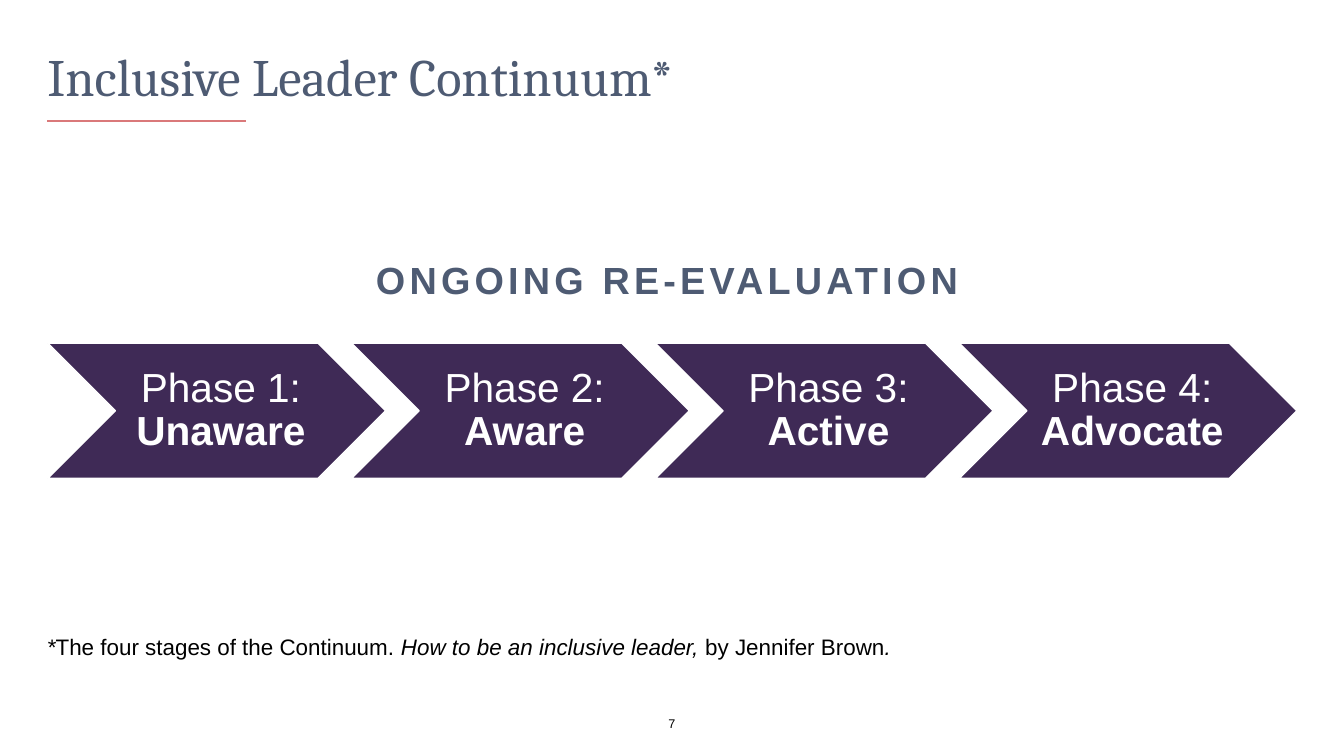
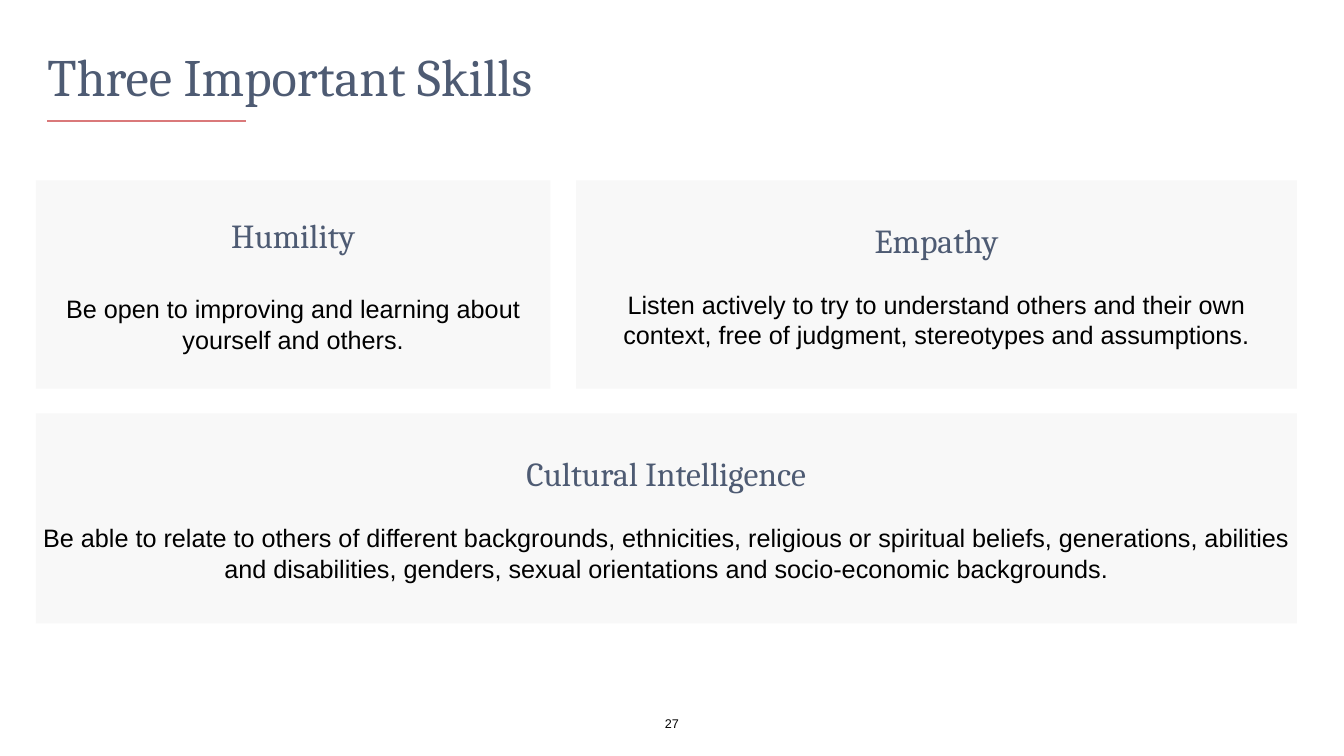
from lxml.etree import SubElement
from pptx import Presentation
from pptx.dml.color import RGBColor
from pptx.enum.shapes import MSO_CONNECTOR, MSO_SHAPE
from pptx.enum.text import MSO_ANCHOR, MSO_AUTO_SIZE, PP_ALIGN
from pptx.oxml.ns import qn
from pptx.util import Pt

COLORS = {
    "slate": "4E5B73",
    "coral": "DA797A",
    "purple": "3F2A56",
    "panel": "F8F8F8",
    "white": "FFFFFF",
    "black": "000000",
}

# Text styles: font attributes plus a colour name
TITLE = {"name": "Cambria", "size": Pt(75), "color": "slate"}
HEADING = {"name": "Arial", "size": Pt(54), "bold": True, "color": "slate"}
PHASE = {"name": "Arial", "size": Pt(58), "color": "white"}
SKILL = {"name": "Cambria", "size": Pt(48), "color": "slate"}
BODY = {"name": "Arial", "size": Pt(36), "color": "black"}
NOTE = {"name": "Arial", "size": Pt(32), "color": "black"}
PAGE_NUMBER = {"name": "Arial", "size": Pt(18), "color": "black"}

NO_MARGINS = (0, 0, 0, 0)
DEFAULT_MARGINS = (7.2, 3.6, 7.2, 3.6)


class Deck:
    """Holds the shared style and the current slide."""

    def __init__(self):
        self.presentation = Presentation()
        self.presentation.slide_width = Pt(1920)
        self.presentation.slide_height = Pt(1080)
        self.slide = None

    def color(self, name):
        return RGBColor.from_string(COLORS[name])

    def add_slide(self, title, number):
        layout = self.presentation.slide_layouts[5]
        self.slide = self.presentation.slides.add_slide(layout)

        # Title and its accent rule
        shape = self.slide.shapes.title
        shape.left, shape.top, shape.width, shape.height = map(Pt, (67.7, 30.2, 1785.6, 124.6))
        self.format_frame(shape.text_frame, anchor=MSO_ANCHOR.BOTTOM)
        self.fill_paragraph(shape.text_frame.paragraphs[0], [(title, TITLE)],
                            alignment=PP_ALIGN.LEFT, line_spacing=0.9)
        self.line(67.7, 173.5, 351.4, 173.5)

        # Page number
        self.text((928, 1018.8, 64, 30.2), [(str(number), PAGE_NUMBER)],
                  anchor=MSO_ANCHOR.MIDDLE, alignment=PP_ALIGN.CENTER)

    def format_frame(self, frame, margins=NO_MARGINS, anchor=MSO_ANCHOR.TOP, wrap=True):
        values = {
            "word_wrap": wrap,
            "auto_size": MSO_AUTO_SIZE.NONE,
            "vertical_anchor": anchor,
        }
        sides = ("margin_left", "margin_top", "margin_right", "margin_bottom")
        values.update(zip(sides, map(Pt, margins)))
        for name, value in values.items():
            setattr(frame, name, value)

    def fill_paragraph(self, paragraph, runs, spacing=0, **paragraph_format):
        for name, value in paragraph_format.items():
            setattr(paragraph, name, value)
        for text, style in runs:
            run = paragraph.add_run()
            run.text = text
            for name, value in style.items():
                if name == "color":
                    run.font.color.rgb = self.color(value)
                else:
                    setattr(run.font, name, value)
            if spacing:
                run._r.get_or_add_rPr().set("spc", str(spacing * 100))

    def line(self, x1, y1, x2, y2):
        connector = self.slide.shapes.add_connector(
            MSO_CONNECTOR.STRAIGHT, *map(Pt, (x1, y1, x2, y2)))
        connector.line.color.rgb = self.color("coral")
        connector.line.width = Pt(3)
        SubElement(connector._element.spPr, qn("a:effectLst"))

    def text(self, box, runs, anchor=MSO_ANCHOR.TOP, wrap=True, **paragraph_format):
        frame = self.slide.shapes.add_textbox(*map(Pt, box)).text_frame
        self.format_frame(frame, anchor=anchor, wrap=wrap)
        self.fill_paragraph(frame.paragraphs[0], runs, **paragraph_format)

    def shape(self, kind, box, fill, outline=None, margins=DEFAULT_MARGINS):
        shape = self.slide.shapes.add_shape(kind, *map(Pt, box))
        shape.shadow.inherit = False
        shape.fill.solid()
        shape.fill.fore_color.rgb = self.color(fill)
        if outline:
            shape.line.color.rgb = self.color(outline)
            shape.line.width = Pt(2)
        else:
            shape.line.fill.background()
        self.format_frame(shape.text_frame, margins, MSO_ANCHOR.MIDDLE)
        return shape.text_frame

    def chevron(self, box, label, name):
        frame = self.shape(MSO_SHAPE.CHEVRON, box, "purple", "white", (18, 6, 6, 6))
        self.fill_paragraph(frame.paragraphs[0],
                            [(label, PHASE), (name, {**PHASE, "bold": True})],
                            alignment=PP_ALIGN.CENTER, line_spacing=0.9)

    def panel(self, box, skill, description, gap):
        frame = self.shape(MSO_SHAPE.RECTANGLE, box, "panel")
        self.fill_paragraph(frame.paragraphs[0], [(skill, SKILL)], alignment=PP_ALIGN.CENTER)
        self.fill_paragraph(frame.add_paragraph(), [(description, BODY)],
                            alignment=PP_ALIGN.CENTER, space_before=Pt(gap))


def build_continuum(deck):
    deck.add_slide("Inclusive Leader Continuum*", 7)
    deck.text((537.1, 367.2, 846, 65.5), [("ONGOING RE-EVALUATION", HEADING)],
              wrap=False, spacing=6)

    # Row of phases
    left, pitch = 68.4, 434
    for index, name in enumerate(("Unaware", "Aware", "Active", "Advocate")):
        deck.chevron((left + index * pitch, 490.3, 482.4, 193), f"Phase {index + 1}: ", name)

    # Footnote
    italic = {**NOTE, "italic": True}
    deck.text((67, 904.3, 1520, 38.9), [
        ("*", italic),
        ("The four stages of the Continuum. ", NOTE),
        ("How to be an inclusive leader, ", italic),
        ("by Jennifer Brown", NOTE),
        (".", italic),
    ])


def build_skills(deck):
    deck.add_slide("Three Important Skills", 27)

    # Two panels above one wide panel
    left, middle, right, top = 51.1, 823, 1852.6, 257.8
    deck.panel((left, top, 735.1, 297.4), "Humility",
               "Be open to improving and learning about yourself and others.", 55)
    deck.panel((middle, top, right - middle, 297.4), "Empathy",
               "Listen actively to try to understand others and their own context, "
               "free of judgment, stereotypes and assumptions.", 41.5)
    deck.panel((left, 590.4, right - left, 300.2), "Cultural Intelligence",
               "Be able to relate to others of different backgrounds, ethnicities, "
               "religious or spiritual beliefs, generations, abilities and disabilities, "
               "genders, sexual orientations and socio-economic backgrounds.", 41.5)


def main():
    deck = Deck()
    build_continuum(deck)
    build_skills(deck)
    deck.presentation.save("out.pptx")


if __name__ == "__main__":
    main()
